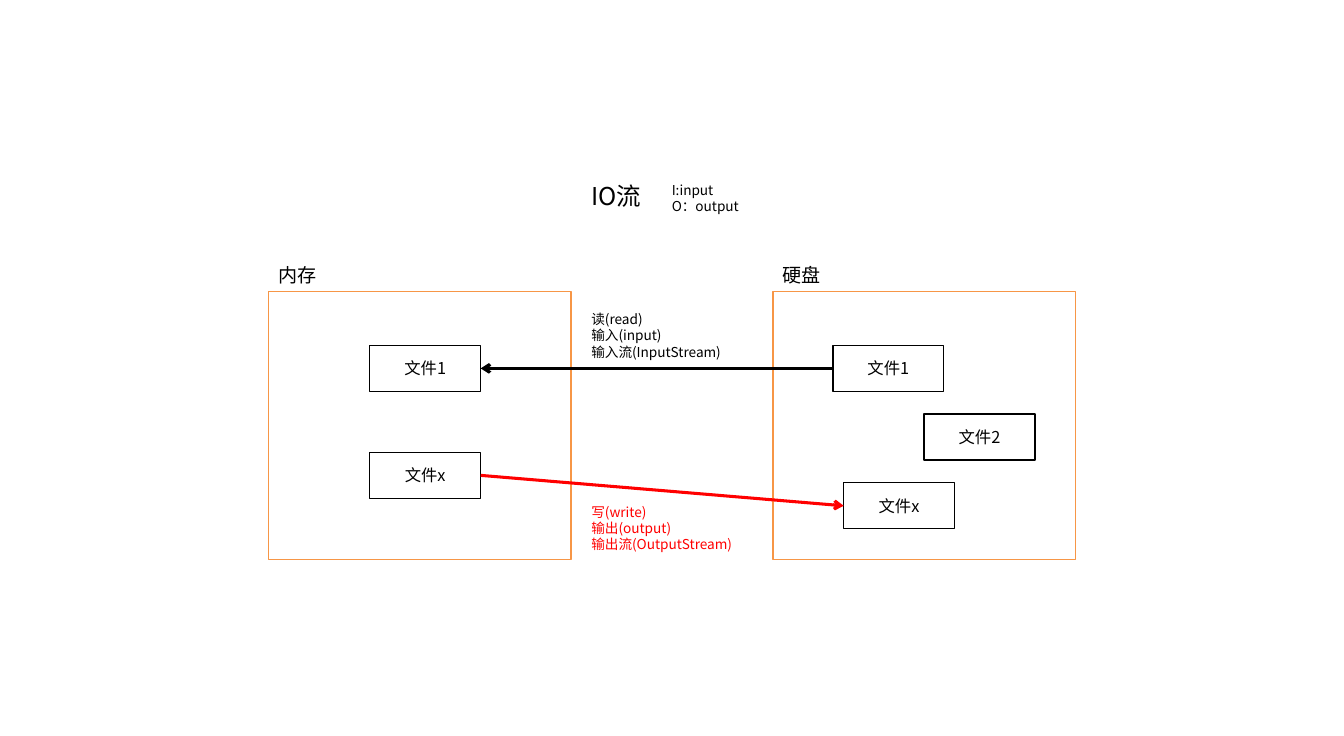
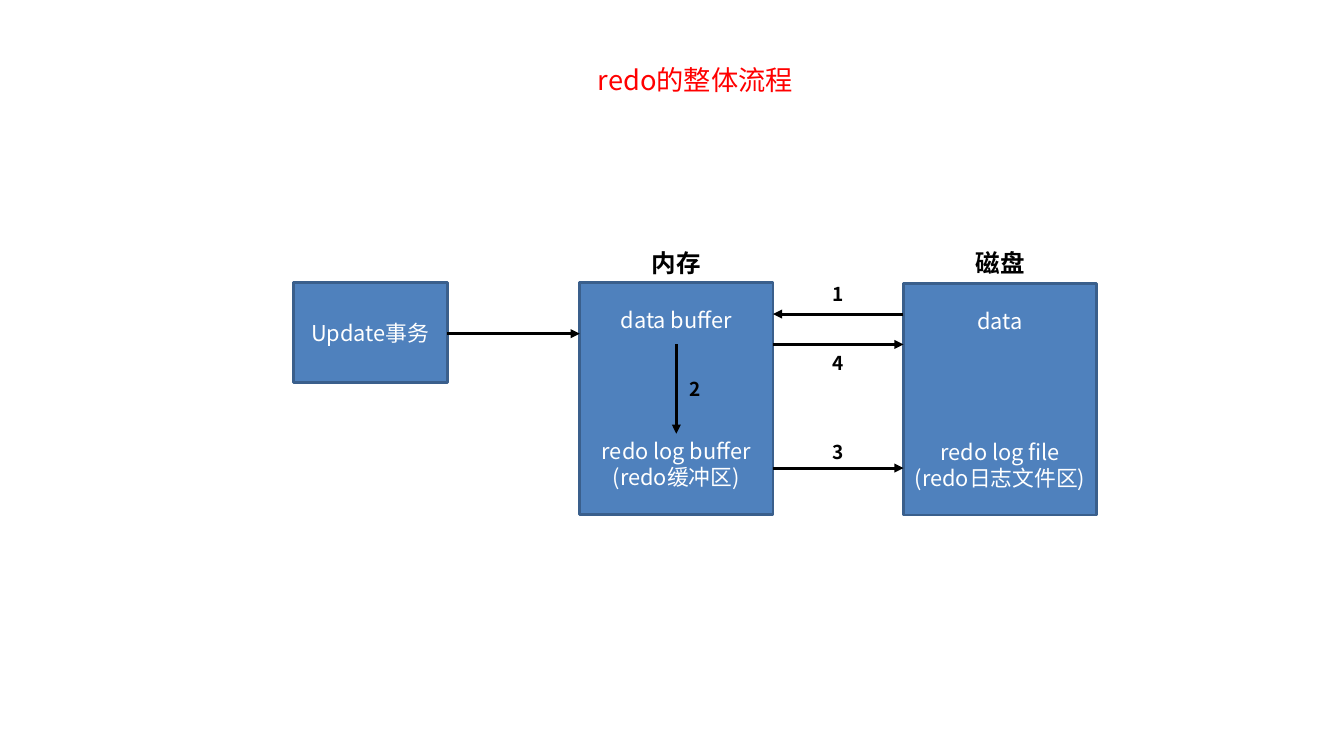
from dataclasses import dataclass

from lxml.etree import SubElement
from pptx import Presentation
from pptx.dml.color import RGBColor
from pptx.enum.shapes import MSO_CONNECTOR, MSO_SHAPE
from pptx.enum.text import MSO_ANCHOR as Anchor, PP_ALIGN as Align
from pptx.oxml.ns import qn
from pptx.slide import Slide
from pptx.text.text import TextFrame
from pptx.util import Pt


@dataclass(frozen=True)
class Theme:
    font: str = "Noto Sans CJK SC"
    black: str = "000000"
    white: str = "FFFFFF"
    red: str = "FF0000"
    orange: str = "F79646"
    blue: str = "4F81BD"
    dark_blue: str = "3A5F8C"
    title: int = 20
    heading: int = 18
    body: int = 16
    label: int = 14
    file: int = 12
    note: int = 10
    line_spacing: float = 1.2
    arrow_width: float = 2.25


THEME = Theme()


@dataclass(frozen=True)
class TextStyle:
    size: int
    color: str = THEME.black
    bold: bool = False
    align: Align = Align.LEFT

    @property
    def pitch(self) -> float:
        return self.size * THEME.line_spacing


@dataclass(frozen=True)
class BoxStyle:
    fill: str
    line: str
    line_width: float
    text: TextStyle


@dataclass(frozen=True)
class Area:
    left: float
    top: float
    width: float
    height: float

    @property
    def right(self) -> float:
        return self.left + self.width

    @property
    def center(self) -> float:
        return self.left + self.width / 2

    @property
    def middle(self) -> float:
        return self.top + self.height / 2

    def lengths(self) -> tuple[Pt, ...]:
        return tuple(Pt(n) for n in (self.left, self.top, self.width, self.height))


@dataclass(frozen=True)
class Arrow:
    start: tuple[float, float]
    end: tuple[float, float]
    color: str = THEME.black
    head: str = "triangle"


@dataclass(frozen=True)
class Store:
    area: Area
    caption: str
    lines: tuple[str, ...]


FILE_TEXT = TextStyle(THEME.file, align=Align.CENTER)
PANEL = BoxStyle(THEME.white, THEME.orange, 1, FILE_TEXT)
FILE = BoxStyle(THEME.white, THEME.black, 1, FILE_TEXT)
BLOCK = BoxStyle(THEME.blue, THEME.dark_blue, 2,
                 TextStyle(THEME.body, THEME.white, align=Align.CENTER))
LABEL = TextStyle(THEME.label)
HEADING = TextStyle(THEME.heading)
NOTE = TextStyle(THEME.note)
RED_NOTE = TextStyle(THEME.note, THEME.red)
STEP = TextStyle(THEME.label, bold=True)
CAPTION = TextStyle(THEME.heading, bold=True, align=Align.CENTER)
TITLE = TextStyle(THEME.title, THEME.red, align=Align.CENTER)


def write_lines(frame: TextFrame, lines: tuple[str, ...], style: TextStyle,
                gap_lines: int = 0) -> None:
    """Write one paragraph per line, with gap_lines of space after the first."""
    frame.word_wrap = True
    for index, line in enumerate(lines):
        para = frame.paragraphs[0] if index == 0 else frame.add_paragraph()
        para.text = line
        para.alignment = style.align
        para.line_spacing = Pt(style.pitch)
        if index == 1 and gap_lines:
            para.space_before = Pt(gap_lines * style.pitch)
        font = para.font
        font.name = THEME.font
        font.size = Pt(style.size)
        font.bold = style.bold
        font.color.rgb = RGBColor.from_string(style.color)
        defaults = para._p.pPr.find(qn("a:defRPr"))
        SubElement(defaults, qn("a:ea"), typeface=THEME.font)


def add_text(page: Slide, area: Area, style: TextStyle, *lines: str) -> None:
    box = page.shapes.add_textbox(*area.lengths())
    write_lines(box.text_frame, lines, style)


def add_box(page: Slide, area: Area, style: BoxStyle, *lines: str,
            gap_lines: int = 0) -> None:
    box = page.shapes.add_shape(MSO_SHAPE.RECTANGLE, *area.lengths())
    box.shadow.inherit = False
    box.fill.solid()
    box.fill.fore_color.rgb = RGBColor.from_string(style.fill)
    box.line.color.rgb = RGBColor.from_string(style.line)
    box.line.width = Pt(style.line_width)
    box.text_frame.vertical_anchor = Anchor.MIDDLE
    write_lines(box.text_frame, lines, style.text, gap_lines)


def add_arrow(page: Slide, arrow: Arrow) -> None:
    points = (Pt(n) for n in (*arrow.start, *arrow.end))
    connector = page.shapes.add_connector(MSO_CONNECTOR.STRAIGHT, *points)
    connector.line.color.rgb = RGBColor.from_string(arrow.color)
    connector.line.width = Pt(THEME.arrow_width)
    properties = connector.element.spPr
    SubElement(properties.find(qn("a:ln")), qn("a:tailEnd"), type=arrow.head)
    SubElement(properties, qn("a:effectLst"))


def file_area(left: float, top: float) -> Area:
    return Area(left, top, 81.4, 33.8)


def build_io_streams(page: Slide) -> None:
    for left, name in ((197.3, "内存"), (567.4, "硬盘")):
        add_box(page, Area(left, 213.8, 221.8, 196.6), PANEL)
        add_text(page, Area(left, 189.4, 66.2, 24.5), LABEL, name)

    memory_first, memory_x = file_area(271.4, 253.4), file_area(271.4, 331.9)
    disk_first, disk_x = file_area(611.3, 253.4), file_area(619.2, 354.2)
    files = (
        (memory_first, "文件1"),
        (memory_x, "文件x"),
        (disk_first, "文件1"),
        (disk_x, "文件x"),
        (file_area(678.2, 303.8), "文件2"),
    )
    for area, name in files:
        add_box(page, area, FILE, name)

    add_arrow(page, Arrow((memory_x.right, memory_x.middle),
                          (disk_x.left, disk_x.middle), THEME.red, "arrow"))
    add_arrow(page, Arrow((disk_first.left, disk_first.middle),
                          (memory_first.right, memory_first.middle), head="arrow"))

    note_left, note_width = 427, 155.5
    add_text(page, Area(note_left, 224.6, note_width, 43.9), NOTE,
             "读(read)", "输入(input)", "输入流(InputStream)")
    add_text(page, Area(note_left, 365.8, note_width, 43.9), RED_NOTE,
             "写(write)", "输出(output)", "输出流(OutputStream)")
    add_text(page, Area(note_left, 129.6, 81.4, 28.8), HEADING, "IO流")
    add_text(page, Area(486, 129.6, note_width, 31.7), NOTE, "I:input", "O：output")


def build_redo_flow(page: Slide) -> None:
    add_text(page, Area(368.6, 43.2, 283.7, 31.7), TITLE, "redo的整体流程")

    update = Area(215.3, 207.4, 113, 73.4)
    memory = Area(425.5, 207.4, 141.8, 169.9)
    disk = Area(663.1, 208.1, 141.8, 169.9)
    add_box(page, update, BLOCK, "Update事务")
    stores = (
        Store(memory, "内存", ("data buffer", "redo log buffer", "(redo缓冲区)")),
        Store(disk, "磁盘", ("data", "redo log file", "(redo日志文件区)")),
    )
    for store in stores:
        add_box(page, store.area, BLOCK, *store.lines, gap_lines=4)
        add_text(page, Area(store.area.center - 27, 178.6, 54, 28.8),
                 CAPTION, store.caption)

    read_y, write_y, log_y = 230.4, 252.7, 343.4
    arrows = (
        Arrow((update.right, 244.8), (memory.left, 244.8)),
        Arrow((disk.left, read_y), (memory.right, read_y)),
        Arrow((memory.right, write_y), (disk.left, write_y)),
        Arrow((memory.right, log_y), (disk.left, log_y)),
        Arrow((memory.center, write_y), (memory.center, 318.2)),
    )
    for arrow in arrows:
        add_arrow(page, arrow)

    step_left = 604.1
    steps = (
        ("1", step_left, 203.8),
        ("2", 499, 273.6),
        ("3", step_left, 319.7),
        ("4", step_left, 254.2),
    )
    for number, left, top in steps:
        add_text(page, Area(left, top, 22.3, 24.5), STEP, number)


def main() -> None:
    deck = Presentation()
    deck.slide_width, deck.slide_height = Pt(986.4), Pt(540)
    blank = deck.slide_layouts[6]
    for build in (build_io_streams, build_redo_flow):
        build(deck.slides.add_slide(blank))
    deck.save("out.pptx")


if __name__ == "__main__":
    main()
